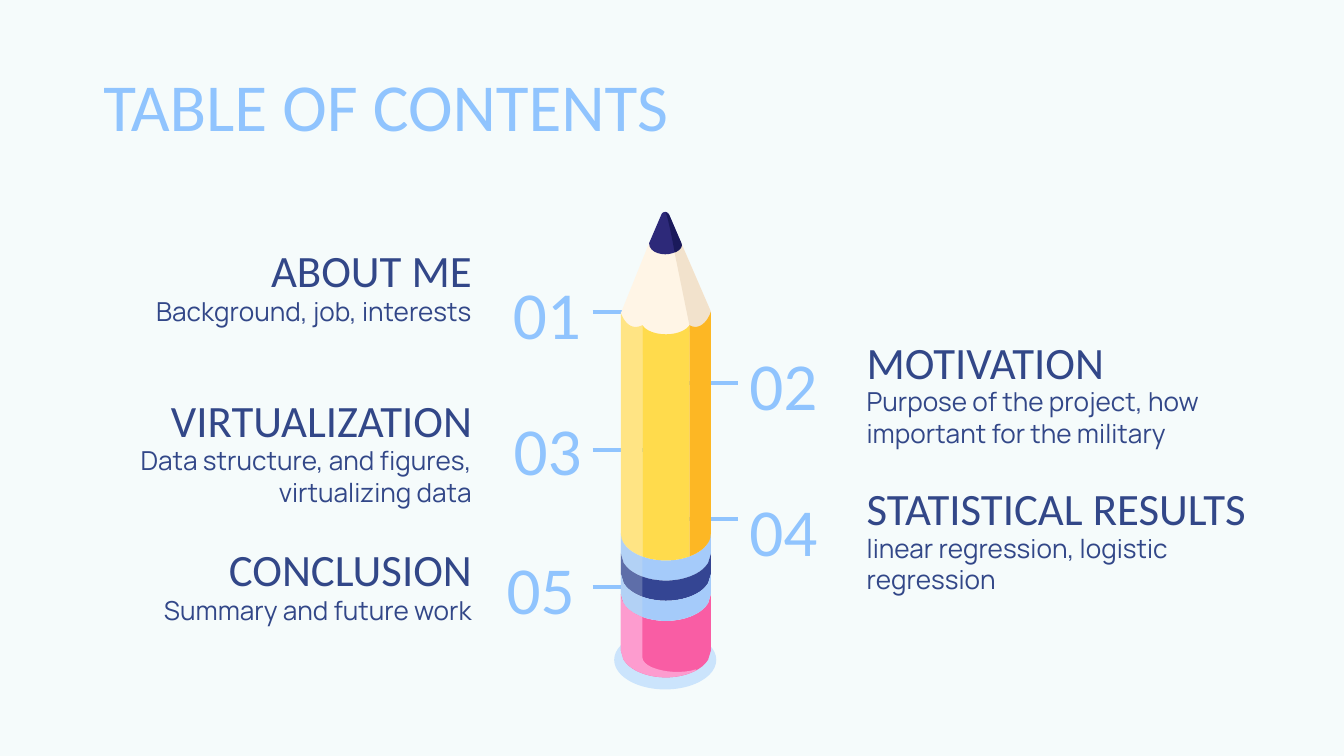
import pptx
import pptx.dml.color
import pptx.enum.shapes
import pptx.enum.text
import pptx.oxml
import pptx.oxml.ns
import pptx.util
from dataclasses import dataclass

Inches = pptx.util.Inches
ALIGN = pptx.enum.text.PP_ALIGN
ANCHOR = pptx.enum.text.MSO_ANCHOR


@dataclass(frozen=True)
class Theme:
    background: str = "F5FBFB"
    sky: str = "90C4FE"
    navy: str = "324788"
    wood: str = "FFF5E6"
    wood_shade: str = "F2E2CC"
    lead: str = "2D2979"
    lead_shade: str = "1A1A5B"
    paint_light: str = "FFE484"
    paint: str = "FFDB4C"
    paint_dark: str = "FDB724"
    ferrule: str = "A5CBFA"
    ferrule_stripe: str = "344593"
    shine: str = "DAE6EA"
    eraser: str = "F95DA4"
    eraser_light: str = "FD9CCF"
    heading_font: str = "Calibri"
    body_font: str = "Manrope"
    title_size: int = 36
    heading_size: int = 24
    body_size: int = 14
    tick_width: float = 2.25


THEME = Theme()

# Pencil geometry: barrel edges, facet edges and depth of the rounded bands
LEFT, RIGHT = 4.62, 5.29
FACET_LEFT, FACET_RIGHT = 4.78, 5.13
SAG = 0.2
FERRULE_TOP, BAND_HEIGHT = 3.97, 0.15
ERASER_TOP, ERASER_BOTTOM = FERRULE_TOP + 3 * BAND_HEIGHT, 4.84

# Side, heading, heading box, summary, summary box, number, number box, number anchor, tick height
SECTIONS = [
    ("left", "ABOUT ME", (0.71, 1.68, 2.9, 0.63), "Background, job, interests",
     (0.71, 2.1, 2.9, 0.82), "01", (3.62, 1.93, 0.9, 0.63), ANCHOR.TOP, 2.32),
    ("right", "MOTIVATION", (6.35, 2.36, 2.61, 0.63),
     "Purpose of the project, how important for the military",
     (6.35, 2.77, 2.9, 0.63), "02", (5.31, 2.54, 1.04, 0.63), ANCHOR.MIDDLE, 2.85),
    ("left", "VIRTUALIZATION", (0.93, 2.79, 2.68, 0.63),
     "Data structure, and figures, virtualizing data",
     (0.76, 3.21, 2.85, 0.82), "03", (3.5, 2.94, 1.15, 0.63), ANCHOR.TOP, 3.35),
    ("right", "STATISTICAL RESULTS", (6.35, 3.45, 3.24, 0.63),
     "linear regression, logistic regression",
     (6.35, 3.86, 2.68, 0.63), "04", (5.31, 3.63, 1.04, 0.63), ANCHOR.MIDDLE, 3.86),
    ("left", "CONCLUSION", (0.93, 3.9, 2.68, 0.63), "Summary and future work",
     (0.93, 4.32, 2.68, 0.63), "05 ", (3.56, 4.06, 1.04, 0.63), ANCHOR.MIDDLE, 4.37),
]


def rgb(color):
    return pptx.dml.color.RGBColor.from_string(color)


def add_text(slide, text, box, size, color, font=THEME.heading_font,
             align=ALIGN.LEFT, anchor=ANCHOR.TOP):
    frame = slide.shapes.add_textbox(*map(Inches, box)).text_frame
    frame.word_wrap = True
    frame.vertical_anchor = anchor
    frame.margin_left = frame.margin_right = Inches(0.1)
    frame.margin_top = frame.margin_bottom = Inches(0.1)
    paragraph = frame.paragraphs[0]
    paragraph.text = text
    paragraph.alignment = align
    paragraph.font.name = font
    paragraph.font.size = pptx.util.Pt(size)
    paragraph.font.color.rgb = rgb(color)


def add_tick(slide, left, right, y):
    tick = slide.shapes.add_connector(
        pptx.enum.shapes.MSO_CONNECTOR.STRAIGHT,
        Inches(left), Inches(y), Inches(right), Inches(y))
    tick.line.color.rgb = rgb(THEME.sky)
    tick.line.width = pptx.util.Pt(THEME.tick_width)
    tick._element.spPr.append(pptx.oxml.parse_xml(
        "<a:effectLst %s/>" % pptx.oxml.ns.nsdecls("a")))


def paint(shape, color, opacity=100):
    shape.shadow.inherit = False
    shape.fill.solid()
    shape.fill.fore_color.rgb = rgb(color)
    shape.line.fill.background()
    if opacity < 100:
        swatch = shape._element.spPr.find(".//" + pptx.oxml.ns.qn("a:srgbClr"))
        swatch.append(pptx.oxml.parse_xml('<a:alpha %s val="%d"/>' % (
            pptx.oxml.ns.nsdecls("a"), opacity * 1000)))


def add_outline(group, points, color, opacity=100):
    corners = [(Inches(x), Inches(y)) for x, y in points]
    builder = group.shapes.build_freeform(*corners[0])
    builder.add_line_segments(corners[1:], close=True)
    paint(builder.convert_to_shape(), color, opacity)


def curve(start, pull_start, pull_end, end, steps=12):
    """Points along a cubic curve."""
    points = []
    for step in range(steps + 1):
        t = step / steps
        weights = ((1 - t) ** 3, 3 * t * (1 - t) ** 2, 3 * t * t * (1 - t), t ** 3)
        points.append(tuple(
            sum(w * p[axis] for w, p in zip(weights, (start, pull_start, pull_end, end)))
            for axis in (0, 1)))
    return points


def rim(y, left=LEFT, right=RIGHT, steps=32):
    """Lower half of the barrel's ellipse, left to right."""
    center, radius = (LEFT + RIGHT) / 2, (RIGHT - LEFT) / 2
    xs = [left + (right - left) * step / steps for step in range(steps + 1)]
    return [(x, y + SAG * max(0, 1 - ((x - center) / radius) ** 2) ** 0.5) for x in xs]


def band(top, bottom, left=LEFT, right=RIGHT):
    return rim(top, left, right) + rim(bottom, left, right)[::-1]


def add_pencil(slide):
    pencil = slide.shapes.add_group_shape()

    # Ground shadow
    ground = pencil.shapes.add_shape(
        pptx.enum.shapes.MSO_SHAPE.OVAL, *map(Inches, (4.57, 4.69, 0.76, 0.44)))
    paint(ground, THEME.sky, 41)

    # Sharpened wood
    add_outline(pencil, [(4.83, 1.81), (5.07, 1.81), (RIGHT, 2.32), (RIGHT, 2.61),
                         (4.95, 2.67), (LEFT, 2.61), (LEFT, 2.33)], THEME.wood)
    add_outline(pencil, [(4.95, 1.58), (5.07, 1.81), (RIGHT, 2.32), (RIGHT, 2.47),
                         (FACET_RIGHT, 2.47), (FACET_RIGHT, 2.42), (5.02, 1.88)],
                THEME.wood_shade)

    # Eraser and ferrule
    add_outline(pencil, band(ERASER_TOP, ERASER_BOTTOM), THEME.eraser)
    for index, color in enumerate((THEME.ferrule, THEME.ferrule_stripe, THEME.ferrule)):
        top = FERRULE_TOP + index * BAND_HEIGHT
        add_outline(pencil, band(top, top + BAND_HEIGHT), color)

    # Painted facets, each with a scalloped top
    facets = [
        (LEFT, FACET_LEFT, 2.33, (4.66, 2.43), (4.72, 2.45), 2.42, THEME.paint_light),
        (FACET_RIGHT, RIGHT, 2.42, (5.18, 2.45), (5.25, 2.43), 2.32, THEME.paint_dark),
        (FACET_LEFT, FACET_RIGHT, 2.42, (4.84, 2.51), (5.07, 2.51), 2.42, THEME.paint),
    ]
    for left, right, left_top, pull_left, pull_right, right_top, color in facets:
        scallop = curve((left, left_top), pull_left, pull_right, (right, right_top))
        add_outline(pencil, scallop + rim(FERRULE_TOP, left, right)[::-1], color)

    # Lead
    add_outline(pencil, curve((4.92, 1.6), (4.93, 1.57), (4.97, 1.57), (4.98, 1.6))
                + curve((5.07, 1.81), (5.07, 1.92), (4.83, 1.92), (4.83, 1.81)), THEME.lead)
    add_outline(pencil, [(4.98, 1.6)]
                + curve((5.07, 1.81), (5.08, 1.83), (5.07, 1.86), (5.02, 1.88))
                + curve((5.02, 1.88), (4.99, 1.71), (4.96, 1.58), (4.95, 1.58)),
                THEME.lead_shade)

    # Highlights on ferrule and eraser
    add_outline(pencil, band(FERRULE_TOP, ERASER_TOP, LEFT, FACET_LEFT), THEME.shine, 26)
    add_outline(pencil, rim(ERASER_TOP, LEFT, FACET_LEFT)
                + curve((FACET_LEFT, 4.89), (FACET_LEFT, 4.98), (5.03, 5.03), (5.18, 4.98))
                + rim(ERASER_BOTTOM, LEFT, 5.18)[::-1], THEME.eraser_light)


def add_section(slide, section):
    side, heading, heading_box, summary, summary_box, number, number_box, anchor, tick_y = section
    on_left = side == "left"
    align = ALIGN.RIGHT if on_left else ALIGN.LEFT
    add_tick(slide, *((4.41, 5.01) if on_left else (4.9, 5.49)), tick_y)
    add_text(slide, heading, heading_box, THEME.heading_size, THEME.navy,
             align=align, anchor=ANCHOR.BOTTOM)
    add_text(slide, summary, summary_box, THEME.body_size, THEME.navy,
             THEME.body_font, align)
    add_text(slide, number, number_box, THEME.title_size, THEME.sky,
             align=ALIGN.CENTER, anchor=anchor)


def main():
    # Widescreen 16:9 page
    deck = pptx.Presentation()
    deck.slide_width = Inches(10)
    deck.slide_height = deck.slide_width * 9 // 16
    slide = deck.slides.add_slide(deck.slide_layouts[6])
    slide.background.fill.solid()
    slide.background.fill.fore_color.rgb = rgb(THEME.background)

    add_text(slide, "TABLE OF CONTENTS", (0.67, 0.38, 5.21, 0.63),
             THEME.title_size, THEME.sky)
    for section in SECTIONS:
        add_section(slide, section)
    add_pencil(slide)
    deck.save("out.pptx")


if __name__ == "__main__":
    main()
